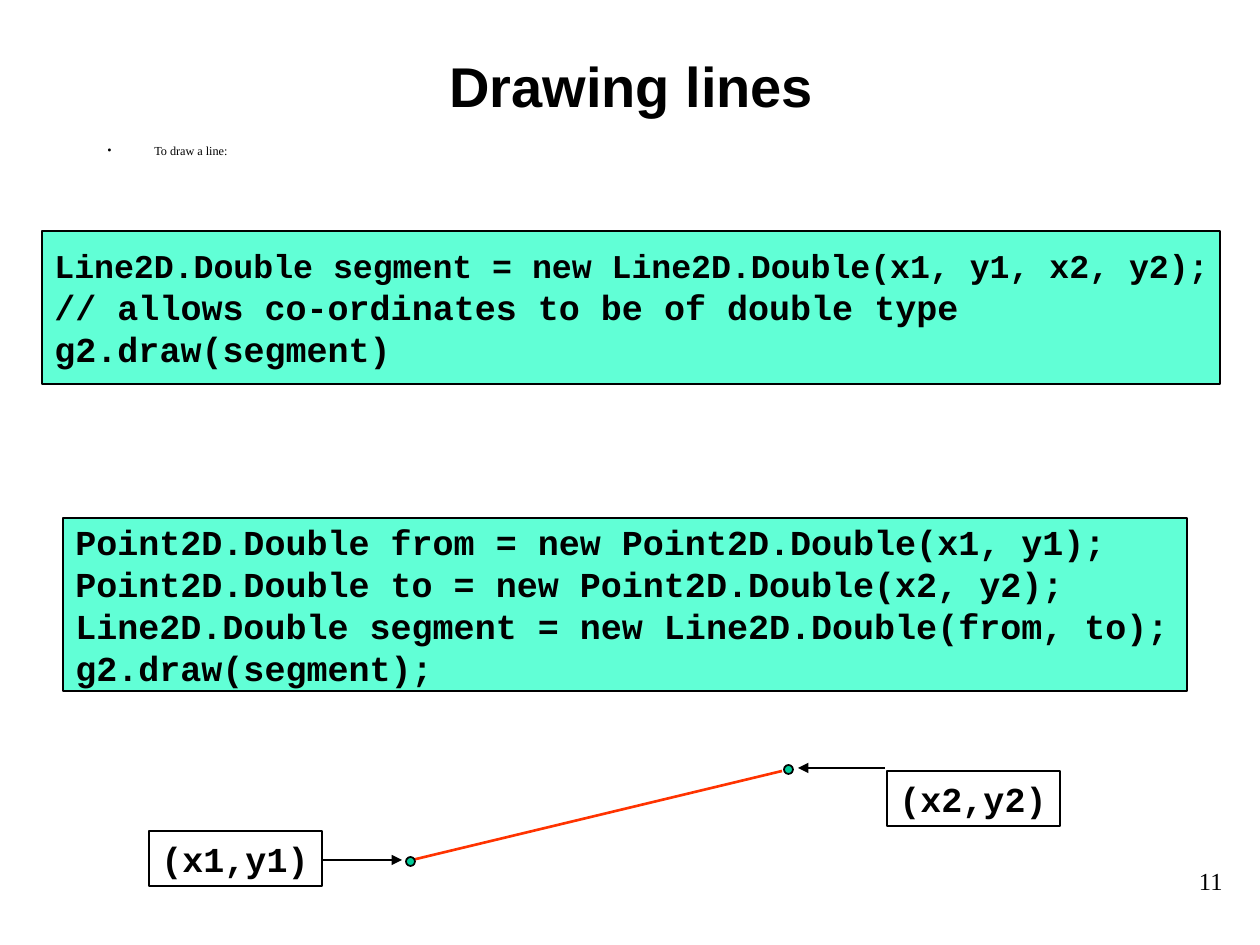
from dataclasses import dataclass
from typing import NamedTuple
from lxml.etree import SubElement
from pptx import Presentation
from pptx.dml.color import RGBColor
from pptx.enum.shapes import MSO_CONNECTOR, MSO_SHAPE
from pptx.enum.text import MSO_ANCHOR, PP_ALIGN
from pptx.oxml.ns import qn
from pptx.util import Emu, Pt

SCALE = 914400 / 126


@dataclass(frozen=True)
class Theme:
    ink: str = "000000"
    mint: str = "61FFD6"
    dot: str = "00CC99"
    red: str = "FF3300"
    sans: str = "Arial"
    serif: str = "Times New Roman"
    mono: str = "Courier New"
    head: int = 32
    code: int = 20
    tight: int = 19
    page: int = 14
    note: int = 7
    thin: float = 0.74
    mid: float = 0.99
    bold: float = 1.5


class Box(NamedTuple):
    left: int
    top: int
    width: int
    height: int


class Line(NamedTuple):
    text: str
    size: int
    font: str
    bold: bool = False


class Label(NamedTuple):
    box: Box
    align: PP_ALIGN
    anchor: MSO_ANCHOR
    line: Line


class Panel(NamedTuple):
    box: Box
    lines: list[Line]
    fill: str | None
    anchor: MSO_ANCHOR
    inset: int


class Link(NamedTuple):
    start: tuple[int, int]
    end: tuple[int, int]
    color: str
    width: float
    arrow: bool


THEME = Theme()


def px(value: int) -> Emu:
    return Emu(round(value * SCALE))


def setup(item, values: dict) -> None:
    for name, value in values.items():
        setattr(item, name, value)


def write(frame, lines: list[Line], align: PP_ALIGN, form: dict) -> None:
    setup(frame, form)
    for index, line in enumerate(lines):
        para = frame.paragraphs[0] if index == 0 else frame.add_paragraph()
        para.alignment = align
        run = para.add_run()
        run.text = line.text
        setup(run.font, {"size": Pt(line.size), "name": line.font, "bold": line.bold})
        run.font.color.rgb = RGBColor.from_string(THEME.ink)


def label(slide, item: Label):
    area = slide.shapes.add_textbox(*map(px, item.box))
    form = {"word_wrap": True, "vertical_anchor": item.anchor}
    write(area.text_frame, [item.line], item.align, form)
    return area


def bullet(para, indent: int) -> None:
    props = para._p.get_or_add_pPr()
    props.set("marL", str(px(indent)))
    props.set("indent", str(-px(indent)))
    SubElement(props, qn("a:buFont")).set("typeface", THEME.serif)
    SubElement(props, qn("a:buChar")).set("char", "•")


def shape(slide, kind: MSO_SHAPE, box: Box, fill: str | None, width: float):
    item = slide.shapes.add_shape(kind, *map(px, box))
    item.shadow.inherit = False
    if fill:
        item.fill.solid()
        item.fill.fore_color.rgb = RGBColor.from_string(fill)
    else:
        item.fill.background()
    item.line.color.rgb = RGBColor.from_string(THEME.ink)
    item.line.width = Pt(width)
    return item


def panel(slide, item: Panel) -> None:
    area = shape(slide, MSO_SHAPE.RECTANGLE, item.box, item.fill, THEME.thin)
    form = {"word_wrap": False, "vertical_anchor": item.anchor,
            "margin_right": px(item.inset)}
    write(area.text_frame, item.lines, PP_ALIGN.LEFT, form)


def link(slide, item: Link) -> None:
    ends = map(px, item.start + item.end)
    wire = slide.shapes.add_connector(MSO_CONNECTOR.STRAIGHT, *ends)
    wire.line.color.rgb = RGBColor.from_string(item.color)
    wire.line.width = Pt(item.width)
    if item.arrow:
        SubElement(wire.line._get_or_add_ln(), qn("a:tailEnd")).set("type", "triangle")
    SubElement(wire._element.spPr, qn("a:effectLst"))


def code(*rows: str) -> list[Line]:
    return [Line(row, THEME.code, THEME.mono, True) for row in rows]


TITLE = Label(Box(96, 31, 1071, 108), PP_ALIGN.CENTER, MSO_ANCHOR.MIDDLE,
              Line("Drawing lines", THEME.head, THEME.sans, True))
INTRO = Label(Box(95, 137, 1071, 93), PP_ALIGN.LEFT, MSO_ANCHOR.TOP,
              Line("To draw a line:", THEME.note, THEME.serif))
PAGE = Label(Box(1057, 860, 178, 63), PP_ALIGN.RIGHT, MSO_ANCHOR.TOP,
             Line("11", THEME.page, THEME.serif))

FIRST = [
    Line("Line2D.Double segment = new Line2D.Double(x1, y1, x2, y2);",
         THEME.tight, THEME.mono, True),
    *code("// allows co-ordinates to be of double type", "g2.draw(segment)"),
]
SECOND = code(
    "Point2D.Double from = new Point2D.Double(x1, y1);",
    "Point2D.Double to = new Point2D.Double(x2, y2);",
    "Line2D.Double segment = new Line2D.Double(from, to);",
    "g2.draw(segment);",
)
BLOCK = (THEME.mint, MSO_ANCHOR.MIDDLE, 12)
TAG = (None, MSO_ANCHOR.TOP, 6)
PANELS = [
    Panel(Box(42, 231, 1178, 153), FIRST, *BLOCK),
    Panel(Box(63, 518, 1124, 173), SECOND, *BLOCK),
    Panel(Box(149, 831, 173, 55), code("(x1,y1)"), *TAG),
    Panel(Box(887, 771, 173, 55), code("(x2,y2)"), *TAG),
]
DOTS = [Box(406, 857, 9, 9), Box(784, 765, 9, 9)]
LINKS = [
    Link((412, 860), (782, 771), THEME.red, THEME.bold, False),
    Link((321, 860), (402, 860), THEME.ink, THEME.mid, True),
    Link((885, 768), (798, 768), THEME.ink, THEME.mid, True),
]


def main() -> None:
    deck = Presentation()
    setup(deck, {"slide_width": px(1260), "slide_height": px(945)})
    slide = deck.slides.add_slide(deck.slide_layouts[6])
    label(slide, PAGE)
    label(slide, TITLE)
    intro = label(slide, INTRO)
    bullet(intro.text_frame.paragraphs[0], 47)
    for item in PANELS:
        panel(slide, item)
    for item in LINKS:
        link(slide, item)
    for box in DOTS:
        shape(slide, MSO_SHAPE.OVAL, box, THEME.dot, THEME.mid)
    deck.save("out.pptx")


main()
